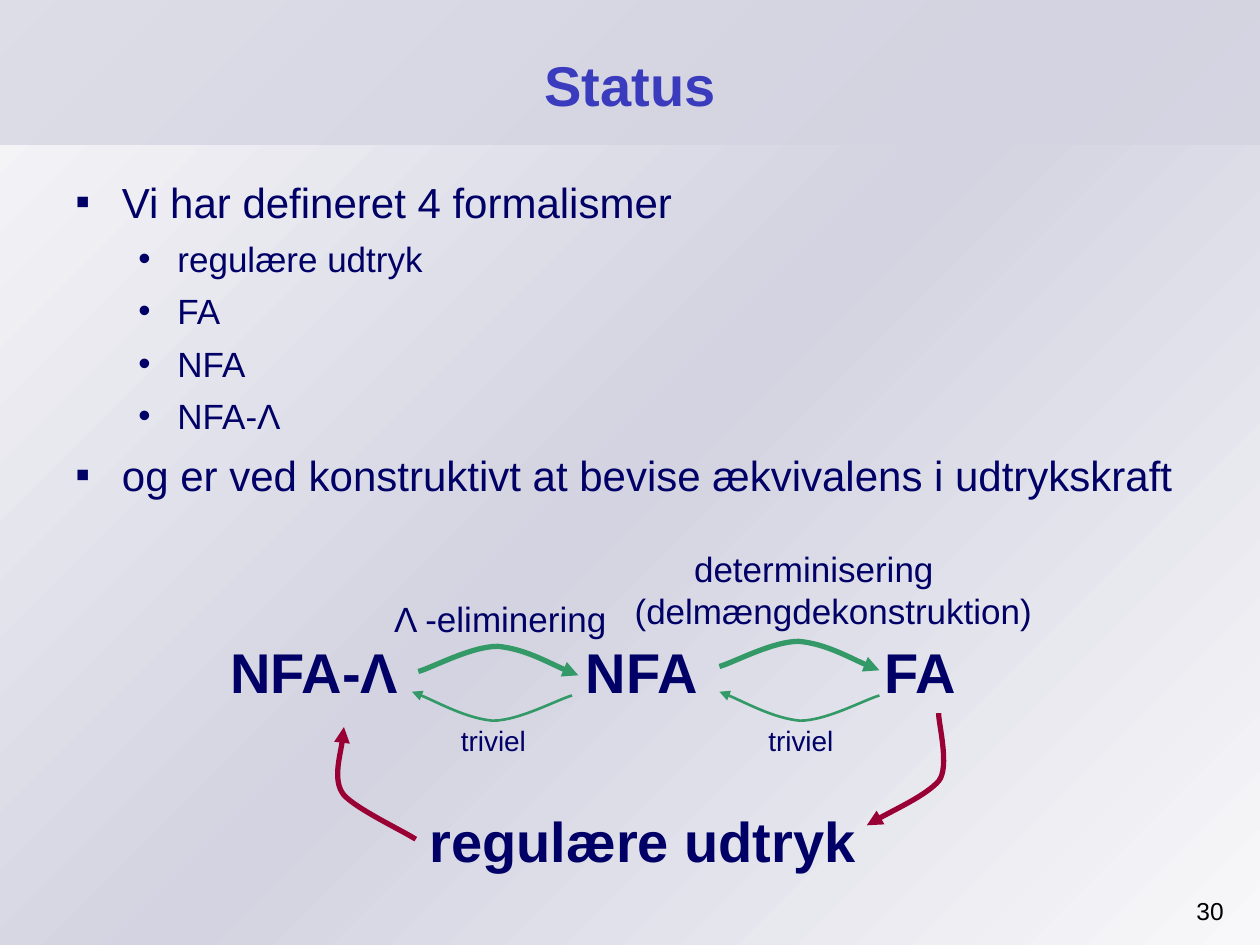
from lxml import etree
from pptx import Presentation
from pptx.dml.color import RGBColor
from pptx.enum.shapes import MSO_SHAPE
from pptx.enum.text import MSO_ANCHOR, PP_ALIGN
from pptx.oxml.ns import qn
from pptx.util import Inches, Pt

RECT = MSO_SHAPE.RECTANGLE
TOP, MID = MSO_ANCHOR.TOP, MSO_ANCHOR.MIDDLE
LEFT, MIDDLE, RIGHT = PP_ALIGN.LEFT, PP_ALIGN.CENTER, PP_ALIGN.RIGHT

PALE = RGBColor(0xF8, 0xF8, 0xFA)
MIST = RGBColor(0xD3, 0xD3, 0xE1)
BLUE = RGBColor(0x3B, 0x3B, 0xBE)
NAVY = RGBColor(0x00, 0x00, 0x66)
GREEN = RGBColor(0x33, 0x99, 0x66)
WINE = RGBColor(0x99, 0x00, 0x33)
BLACK = RGBColor(0, 0, 0)

COLS, ROWS = 100, 75
CELL = Inches(0.1)

HOP = [(0, 2), (1.1, 1.7), (4.2, 0), (6.3, 0), (8.4, 0.2), (11.3, 1.8), (12.7, 2.3)]
BEND = [(5.7, 0), (5.7, 0.9), (6.6, 4.3), (5.7, 5.4), (4.7, 6.5), (1.1, 8.2), (0, 8.9)]
POINTS = [
    (0, "Vi har defineret 4 formalismer"),
    (1, "regulære udtryk"),
    (1, "FA"),
    (1, "NFA"),
    (1, "NFA-Λ"),
    (0, "og er ved konstruktivt at bevise ækvivalens i udtrykskraft"),
]
LEVELS = [("▪", 3.7, 3.7, 24, 7), ("•", 8.1, 3.1, 20, 6)]


def cells(*counts):
    """Turn grid cells into lengths."""
    return [round(count * CELL) for count in counts]


def node(parent, tag, **attrs):
    """Append a drawing element to its parent."""
    return etree.SubElement(parent, qn(tag), attrs)


def style(para, size, color, bold=False):
    """Format the runs of a paragraph."""
    for run in para.runs:
        font = run.font
        font.name, font.size, font.bold = "Arial", Pt(size), bold
        font.color.rgb = color


def label(slide, box, text, size, color=NAVY, bold=False, align=LEFT, anchor=TOP):
    """Place text in a box of cells."""
    frame = slide.shapes.add_textbox(*cells(*box)).text_frame
    frame.word_wrap, frame.vertical_anchor = True, anchor
    frame.text = text
    for para in frame.paragraphs:
        para.alignment = align
        style(para, size, color, bold)
    return frame


def panel(slide, box):
    """Add a plain rectangle."""
    shape = slide.shapes.add_shape(RECT, *cells(*box))
    shape.shadow.inherit = False
    shape.line.fill.background()
    shape.fill.solid()
    shape.fill.fore_color.rgb = MIST
    return shape


def backdrop(slide, box):
    """Fill the box with a diagonal gradient."""
    props = panel(slide, box)._element.spPr
    old = props.find(qn("a:solidFill"))
    grad = etree.Element(qn("a:gradFill"), rotWithShape="1")
    stops = node(grad, "a:gsLst")
    for share, color in ((0, PALE), (50, MIST), (100, PALE)):
        stop = node(stops, "a:gs", pos=str(share * 1000))
        node(stop, "a:srgbClr", val=str(color))
    node(grad, "a:lin", ang=str(225 * 60000), scaled="0")
    props.replace(old, grad)


def header(slide, box):
    """Draw the tinted band and its title."""
    band = panel(slide, box)
    tint = band._element.spPr.find(qn("a:solidFill"))[0]
    node(tint, "a:alpha", val="72000")
    x, y, w, h = box
    label(slide, (x + 5, y + 1.7, w - 10, h - 1.6), "Status", 32, BLUE, True, MIDDLE, MID)


def body(slide, box):
    """List the points on two levels."""
    frame = label(slide, box, "\n".join(text for _, text in POINTS), 24)
    for index, (para, (level, _)) in enumerate(zip(frame.paragraphs, POINTS)):
        mark, indent, hang, size, gap = LEVELS[level]
        para.level = level
        para.space_before = Pt(gap if index else 0)
        props = para._p.get_or_add_pPr()
        margin, back = cells(indent, -hang)
        props.set("marL", str(margin))
        props.set("indent", str(back))
        tint = node(props, "a:buClr")
        node(tint, "a:srgbClr", val=str(NAVY))
        node(props, "a:buFont", typeface="Arial")
        node(props, "a:buChar", char=mark)
        style(para, size, NAVY)


def curve(slide, x, y, points, color, width):
    """Draw a Bezier arrow through triples of points."""
    spots = [tuple(cells(x + a, y + b)) for a, b in points]
    maker = slide.shapes.build_freeform(*spots[0])
    maker.add_line_segments(spots[1:], close=False)
    shape = maker.convert_to_shape()
    shape.shadow.inherit = False
    shape.fill.background()
    shape.line.color.rgb = color
    shape.line.width = Pt(width)
    node(shape.line._get_or_add_ln(), "a:tailEnd", type="triangle")
    trail = next(shape._element.iter(qn("a:path")))
    steps = trail.findall(qn("a:lnTo"))
    for start in range(0, len(steps), 3):
        bend = node(trail, "a:cubicBezTo")
        for step in steps[start:start + 3]:
            bend.append(step[0])
            trail.remove(step)


def diagram(slide, box):
    """Link the four formalisms in a ring."""
    x, y, w, h = box
    for left, wide, text in ((0.3, 16, "NFA-Λ"), (28.5, 12, "NFA"), (52.2, 9, "FA")):
        label(slide, (x + left, y + 7.1, wide, 6.4), text, 32, bold=True)
    label(slide, (x + 16.1, y + 20.5, 38, 6.4), "regulære udtryk", 32, bold=True)
    label(slide, (x + 13.3, y + 3.9, 20, 4.4), "Λ -eliminering", 20)
    frame = label(slide, (x + 28.6, y, 38, 7.7),
                  "determinisering\n(delmængdekonstruktion)", 20, align=MIDDLE)
    shift, = cells(3.1)
    frame.paragraphs[1]._p.get_or_add_pPr().set("marL", str(shift))

    back = [(12.7 - a, 2.4 - b) for a, b in HOP]
    for over, rise, under in ((16.2, 8.3, 15.7), (40.1, 7.9, 40.1)):
        curve(slide, x + over, y + rise, HOP, GREEN, 3)
        curve(slide, x + under, y + 11.8, back, GREEN, 1.5)
        label(slide, (x + under + 2.9, y + 13.9, 10, 3.7), "triviel", 16)

    climb = [(6.6 - a, b) for a, b in reversed(BEND)]
    curve(slide, x + 51.8, y + 13.6, BEND, WINE, 3)
    curve(slide, x + 9.4, y + 14.7, climb, WINE, 3)


def main():
    """Build and save the slide."""
    deck = Presentation()
    deck.slide_width, deck.slide_height = cells(COLS, ROWS)
    slide = deck.slides.add_slide(deck.slide_layouts[6])
    backdrop(slide, (0, 0, COLS, ROWS))
    header(slide, (0, 0, COLS, 11.5))
    body(slide, (5, 13.5, 92.3, 28))
    diagram(slide, (17, 43, 66, 27))
    label(slide, (90.2, 70.6, 7.9, 3.9), "30", 14, BLACK, align=RIGHT)
    deck.save("out.pptx")


if __name__ == "__main__":
    main()
